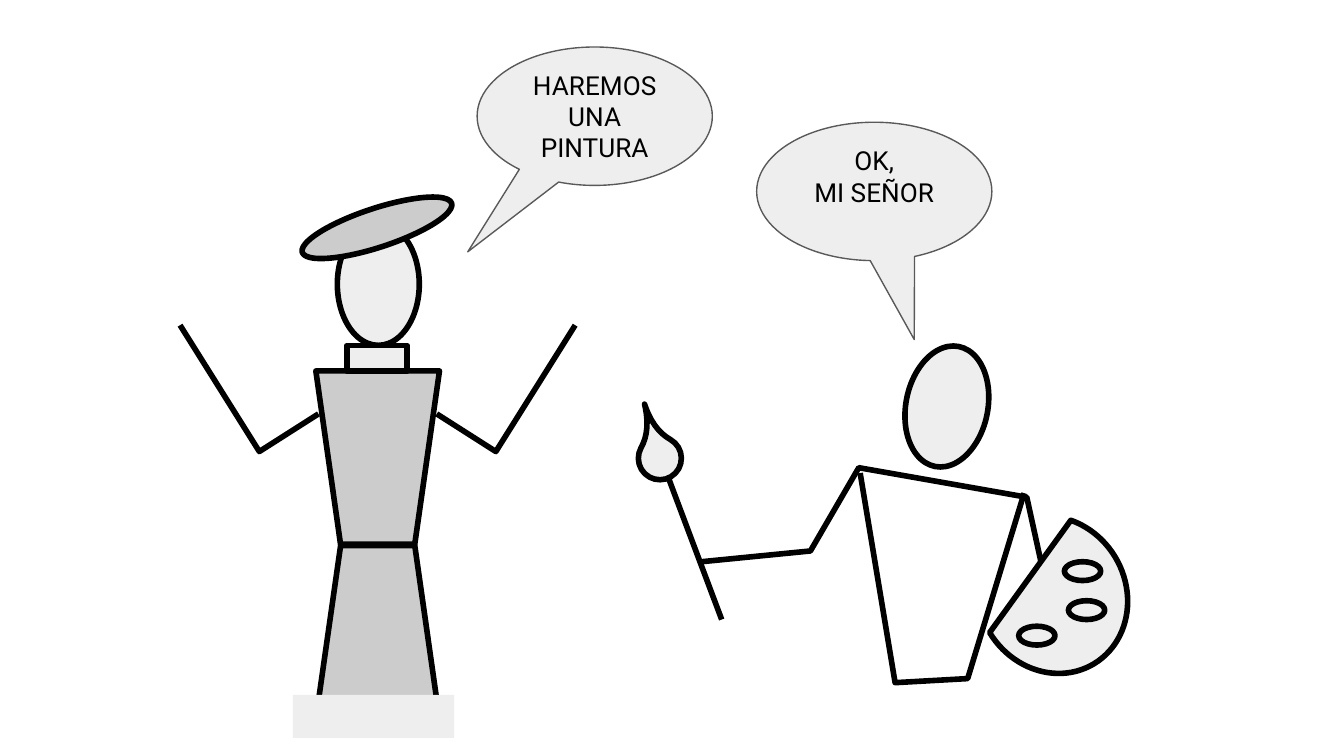
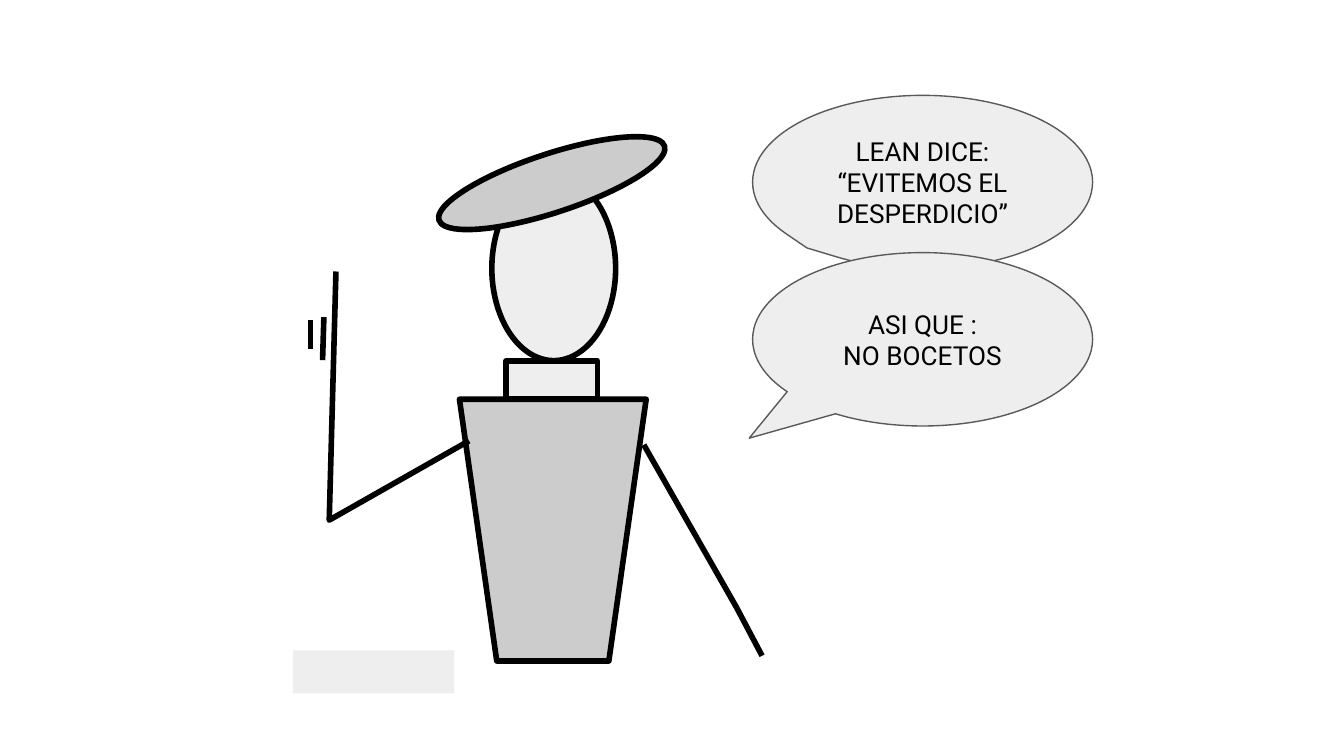
from dataclasses import dataclass

from lxml import etree
from pptx import Presentation
from pptx import util as u
from pptx.dml.color import RGBColor
from pptx.enum import shapes, text
from pptx.oxml.ns import qn

SHAPE = shapes.MSO_SHAPE


@dataclass(frozen=True)
class Theme:
    ink: RGBColor = RGBColor.from_string("000000")
    pale: RGBColor = RGBColor.from_string("EEEEEE")
    cloth: RGBColor = RGBColor.from_string("CCCCCC")
    outline: RGBColor = RGBColor.from_string("595959")
    font: str = "Roboto"
    size: u.Pt = u.Pt(14)
    stroke: u.Pt = u.Pt(3)
    thin: u.Pt = u.Pt(0.75)


class Comic:
    """Holds the deck, its theme and the page being drawn."""

    def __init__(self, theme):
        self.theme = theme
        self.deck = Presentation()
        # Widescreen, 16:9
        self.deck.slide_width = u.Inches(10)
        self.deck.slide_height = u.Inches(10 * 9 / 16)

    def new_page(self):
        self.page = self.deck.slides.add_slide(self.deck.slide_layouts[6])

    def ink(self, line):
        line.color.rgb = self.theme.ink
        line.width = self.theme.stroke

    def shape(self, kind, left, top, width, height, fill=None, turn=0):
        box = self.page.shapes.add_shape(
            kind, *map(u.Inches, (left, top, width, height)))
        box.shadow.inherit = False
        box.rotation = turn
        box.fill.solid()
        box.fill.fore_color.rgb = fill or self.theme.pale
        self.ink(box.line)
        return box

    def stroke(self, *points):
        """Open bent line through the given points."""
        first, *rest = [tuple(map(u.Inches, point)) for point in points]
        builder = self.page.shapes.build_freeform(*first)
        builder.add_line_segments(rest, close=False)
        outline = builder.convert_to_shape()
        outline.shadow.inherit = False
        outline.fill.background()
        self.ink(outline.line)

    def line(self, start, end):
        link = self.page.shapes.add_connector(
            shapes.MSO_CONNECTOR.STRAIGHT, *map(u.Inches, (*start, *end)))
        self.ink(link.line)
        etree.SubElement(link._element.spPr, qn("a:effectLst"))

    def plinth(self, top):
        self.shape(SHAPE.RECTANGLE, 2.18, top, 1.2, 0.32).line.fill.background()

    def bubble(self, at, tip, *lines, bottom=0.1):
        box = self.shape(SHAPE.OVAL_CALLOUT, *at)
        box.adjustments[0], box.adjustments[1] = tip
        box.line.color.rgb = self.theme.outline
        box.line.width = self.theme.thin
        frame = box.text_frame
        frame.word_wrap = True
        frame.vertical_anchor = text.MSO_ANCHOR.MIDDLE
        frame.margin_left = frame.margin_right = frame.margin_top = u.Inches(0.1)
        frame.margin_bottom = u.Inches(bottom)
        for index, words in enumerate(lines):
            para = frame.add_paragraph() if index else frame.paragraphs[0]
            para.text = words
            para.alignment = text.PP_ALIGN.CENTER
            para.font.name = self.theme.font
            para.font.size = self.theme.size
            para.font.color.rgb = self.theme.ink

    def master(self, left, top, scale, arms):
        """Painter in a beret; left and top place the head."""
        def part(kind, x, y, width, height, fill=None, turn=0):
            self.shape(kind, left + x * scale, top + y * scale,
                       width * scale, height * scale, fill, turn)

        cloth = self.theme.cloth
        part(SHAPE.OVAL, 0, 0, 0.61, 0.91)
        part(SHAPE.FLOWCHART_MANUAL_OPERATION, -0.16, 1.1, 0.92, 1.29, cloth)
        part(SHAPE.RECTANGLE, 0.07, 0.91, 0.45, 0.19)
        for arm in arms:
            self.stroke(*arm)
        part(SHAPE.OVAL, -0.29, -0.11, 1.17, 0.29, cloth, 341.8)

    def apprentice(self):
        # Head, arms and torso
        self.shape(SHAPE.OVAL, 6.74, 2.57, 0.61, 0.91, turn=11.2)
        self.stroke((5.22, 4.18), (6.03, 4.1), (6.39, 3.48), (7.64, 3.7), (7.8, 4.43))
        self.stroke((6.4, 3.52), (6.66, 5.08), (7.2, 5.05), (7.62, 3.67))
        # Brush
        self.line((4.96, 3.52), (5.37, 4.61))
        tip = self.shape(SHAPE.TEAR, 4.75, 3.25, 0.32, 0.32, turn=299.2)
        tip.adjustments[0] = 1.85
        # Palette with its paint wells
        self.shape(SHAPE.CHORD, 7.23, 3.88, 1.2, 1.09, turn=238.9)
        for left, top in ((7.58, 4.66), (7.95, 4.47), (7.92, 4.18)):
            self.shape(SHAPE.OVAL, left, top, 0.27, 0.14)


def main():
    comic = Comic(Theme())

    # Slide 1: the master gives the order, his arms mirror each other
    comic.new_page()
    right_arm = [(3.25, 3.08), (3.69, 3.36), (4.28, 2.42)]
    left_arm = [(2 * 2.81 - x, y) for x, y in right_arm]
    comic.master(2.51, 1.66, 1, [right_arm, left_arm])
    comic.shape(SHAPE.FLOWCHART_MANUAL_OPERATION, 2.35, 4.06, 0.92, 1.29,
                comic.theme.cloth, 180)
    comic.plinth(5.17)
    comic.apprentice()
    comic.bubble((3.55, 0.35, 1.75, 1.03), (-0.54, 0.98), "HAREMOS UNA PINTURA")
    comic.bubble((5.63, 0.91, 1.75, 1.03), (0.17, 1.07), "OK,", "MI SEÑOR",
                 bottom=0.33)

    # Slide 2: close-up with a raised hand
    comic.new_page()
    comic.plinth(4.84)
    comic.master(3.66, 1.31, 1.51, [
        [(4.79, 3.31), (5.48, 4.52), (5.67, 4.88)],
        [(3.49, 3.28), (2.45, 3.87), (2.5, 2.02)],
    ])
    comic.line((2.41, 2.36), (2.4, 2.68))
    comic.line((2.31, 2.38), (2.31, 2.6))
    comic.bubble((5.6, 0.71, 2.53, 1.29), (-0.34, 0.38),
                 "LEAN DICE: “EVITEMOS EL DESPERDICIO”")
    comic.bubble((5.6, 1.88, 2.53, 1.29), (-0.51, 0.57), "ASI QUE :", "NO BOCETOS")

    comic.deck.save("out.pptx")


if __name__ == "__main__":
    main()
